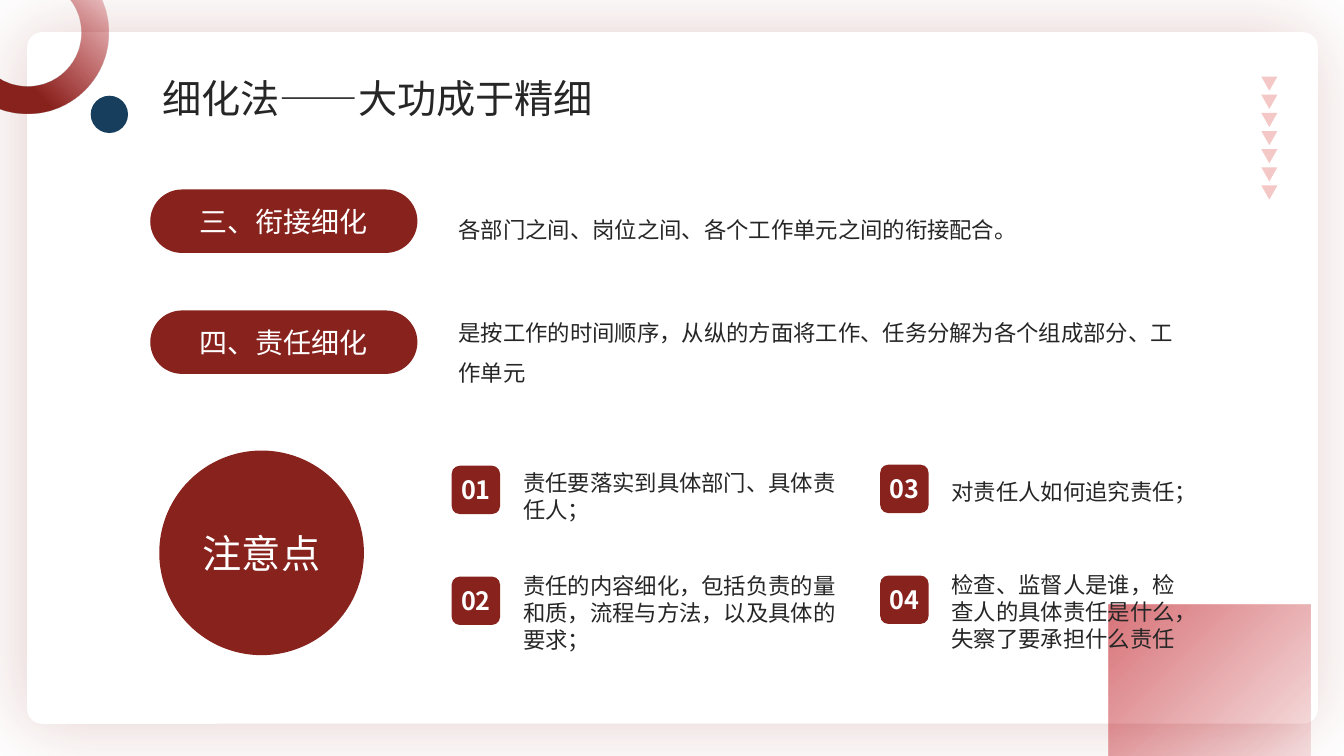
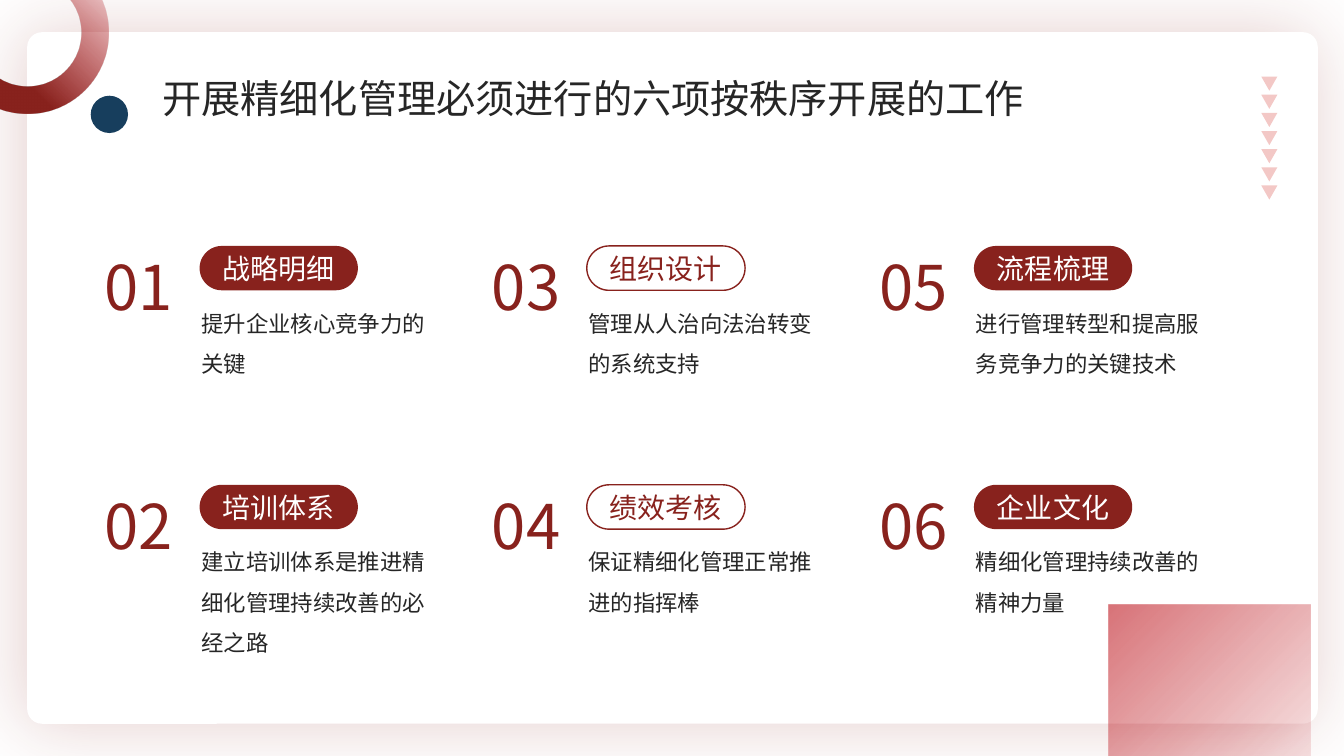
import copy
import dataclasses

import lxml.etree
import pptx
import pptx.dml.color
import pptx.enum.lang
import pptx.enum.shapes
import pptx.enum.text
import pptx.oxml.ns
import pptx.util

Inches = pptx.util.Inches
Pt = pptx.util.Pt
qn = pptx.oxml.ns.qn
PRESET = pptx.enum.shapes.MSO_SHAPE
ALIGN = pptx.enum.text.PP_ALIGN
ANCHOR = pptx.enum.text.MSO_ANCHOR
AUTO_SIZE = pptx.enum.text.MSO_AUTO_SIZE
CHINESE = pptx.enum.lang.MSO_LANGUAGE_ID.SIMPLIFIED_CHINESE


@dataclasses.dataclass(frozen=True)
class Theme:
    font: str = "Noto Sans CJK SC"
    brand: str = "88221D"
    glow: str = "B9000B"
    navy: str = "173E5D"
    blush: str = "F3C8C6"
    paper: str = "FFFFFF"
    ink: str = "262626"
    title: int = 28
    label: int = 20
    badge: int = 18
    body: int = 16
    numeral: int = 44


def rgb(code):
    return pptx.dml.color.RGBColor.from_string(code)


def bezier(start, first, second, end, steps=24):
    points = []
    for step in range(1, steps + 1):
        t = step / steps
        weights = ((1 - t) ** 3, 3 * t * (1 - t) ** 2, 3 * t * t * (1 - t), t ** 3)
        controls = (start, first, second, end)
        points.append(tuple(sum(w * c[axis] for w, c in zip(weights, controls))
                            for axis in (0, 1)))
    return points


class Deck:
    """Build the red-framed slides from one theme."""

    def __init__(self, theme):
        self.theme = theme
        self.show = pptx.Presentation()
        self.show.slide_width = Inches(13.33)
        self.show.slide_height = Inches(7.5)
        self.layout = self.show.slide_layouts[5]
        self.slide = None

    def start_slide(self, heading, width):
        self.slide = self.show.slides.add_slide(self.layout)
        if len(self.show.slides) == 1:
            self.build_frame()
        title = self.slide.shapes.title
        title.left, title.top = Inches(1.51), Inches(0.69)
        title.width, title.height = Inches(width), Inches(0.57)
        self.set_words(title, heading, self.theme.title, self.theme.ink)

    def build_frame(self):
        theme = self.theme
        card = self.block(PRESET.ROUNDED_RECTANGLE, 0.28, 0.33, 12.78, 6.84,
                          theme.paper, theme.paper, 1.5)
        card.adjustments[0] = 0.02
        self.cast_glow(card)
        ring = self.block(PRESET.DONUT, -0.53, -0.48, 1.61, 1.61, theme.brand)
        ring.adjustments[0] = 0.17
        self.fade(ring, 45, ((0.34, theme.brand, 100), (1, theme.glow, 0)))
        dot = self.block(PRESET.OVAL, 0.9, 0.95, 0.37, 0.37, theme.navy)
        dome = self.dome()
        self.fade(dome, 315, ((0.02, theme.glow, 54), (1, theme.glow, 5)))
        arrows = [self.block(PRESET.FLOWCHART_MERGE, 12.51, 0.76 + 0.18 * row,
                             0.16, 0.14, theme.blush) for row in range(7)]
        for order, part in enumerate([card, ring, dot, dome, *arrows]):
            part.element.nvSpPr.cNvPr.set("id", str(20 + order))
            self.layout.shapes.element.insert(2 + order, part.element)

    def dome(self):
        left, crown, right = (10.84, 7.5), (12.09, 6.29), (13.33, 7.5)
        outline = (bezier(left, (10.84, 6.83), (11.47, 6.27), crown)
                   + bezier(crown, (12.78, 6.27), (13.33, 6.9), right))
        builder = self.slide.shapes.build_freeform(*left, scale=Inches(1))
        builder.add_line_segments(outline, close=True)
        return self.finish(builder.convert_to_shape(), self.theme.glow)

    def cast_glow(self, shape):
        effects = shape.element.spPr.find(qn("a:effectLst"))
        shadow = lxml.etree.SubElement(
            effects, qn("a:outerShdw"), blurRad=str(Pt(54)), dist=str(Pt(3)),
            dir="10800000", algn="ctr", rotWithShape="0")
        tint = lxml.etree.SubElement(shadow, qn("a:srgbClr"), val=self.theme.brand)
        lxml.etree.SubElement(tint, qn("a:alpha"), val="22000")

    def fade(self, shape, angle, stops):
        shape.fill.gradient()
        shape.fill.gradient_angle = angle
        for stop, (position, color, opacity) in zip(shape.fill.gradient_stops, stops):
            stop.position = position
            stop.color.rgb = rgb(color)
        tints = shape.element.spPr.iter(qn("a:srgbClr"))
        for tint, (position, color, opacity) in zip(list(tints), stops):
            lxml.etree.SubElement(tint, qn("a:alpha"), val=str(opacity * 1000))

    def finish(self, shape, fill, line=None, weight=1):
        shape.shadow.inherit = False
        shape.fill.solid()
        shape.fill.fore_color.rgb = rgb(fill)
        if line:
            shape.line.color.rgb = rgb(line)
            shape.line.width = Pt(weight)
        else:
            shape.line.fill.background()
        return shape

    def block(self, preset, left, top, width, height, fill, line=None, weight=1):
        shape = self.slide.shapes.add_shape(
            preset, Inches(left), Inches(top), Inches(width), Inches(height))
        return self.finish(shape, fill, line, weight)

    def set_words(self, shape, words, size, color, align=ALIGN.LEFT, anchor=ANCHOR.TOP,
                  bold=False, spacing=1.0, auto_size=AUTO_SIZE.NONE):
        frame = shape.text_frame
        frame.text = words
        frame.word_wrap = True
        frame.auto_size = auto_size
        frame.vertical_anchor = anchor
        paragraph = frame.paragraphs[0]
        paragraph.alignment = align
        paragraph.line_spacing = spacing
        font = paragraph.runs[0].font
        font.name, font.size, font.bold = self.theme.font, Pt(size), bold
        font.color.rgb = rgb(color)
        font.language_id = CHINESE
        for latin in list(shape.element.iter(qn("a:latin"))):
            asian = copy.deepcopy(latin)
            asian.tag = qn("a:ea")
            latin.addnext(asian)

    def text(self, words, left, top, width, height, size=None, color=None, spacing=1.0):
        box = self.slide.shapes.add_textbox(
            Inches(left), Inches(top), Inches(width), Inches(height))
        self.set_words(box, words, size or self.theme.body, color or self.theme.ink,
                       spacing=spacing, auto_size=AUTO_SIZE.SHAPE_TO_FIT_TEXT)

    def pill(self, words, left, top, width, height, size=None, hollow=False):
        theme = self.theme
        fill, ink = (theme.paper, theme.brand) if hollow else (theme.brand, theme.paper)
        shape = self.block(PRESET.ROUNDED_RECTANGLE, left, top, width, height, fill,
                           theme.brand if hollow else None)
        shape.adjustments[0] = 0.5
        self.set_words(shape, words, size or theme.label, ink, ALIGN.CENTER, ANCHOR.MIDDLE)

    def badge(self, number, left, top):
        shape = self.block(PRESET.ROUNDED_RECTANGLE, left, top, 0.48, 0.48,
                           self.theme.brand)
        frame = shape.text_frame
        frame.margin_left = frame.margin_right = 0
        frame.margin_top = frame.margin_bottom = 0
        self.set_words(shape, number, self.theme.badge, self.theme.paper,
                       ALIGN.CENTER, ANCHOR.MIDDLE, bold=True)


def refinement_slide(deck):
    deck.start_slide("细化法——大功成于精细", 6.23)
    refinements = (
        ("三、衔接细化", 1.88, "各部门之间、岗位之间、各个工作单元之间的衔接配合。", 1.96, 0.46),
        ("四、责任细化", 3.08,
         "是按工作的时间顺序，从纵的方面将工作、任务分解为各个组成部分、工作单元", 2.98, 0.87),
    )
    for label, label_top, detail, detail_top, height in refinements:
        deck.pill(label, 1.49, label_top, 2.65, 0.63)
        deck.text(detail, 4.45, detail_top, 7.42, height, spacing=1.5)
    deck.pill("注意点", 1.58, 4.47, 2.03, 2.03, deck.theme.title)
    cautions = (
        ("责任要落实到具体部门、具体责任人；", 4.61, 3.3, 0.64),
        ("责任的内容细化，包括负责的量和质，流程与方法，以及具体的要求；", 5.63, 3.3, 0.91),
        ("对责任人如何追究责任；", 4.69, 3.02, 0.37),
        ("检查、监督人是谁，检查人的具体责任是什么，失察了要承担什么责任", 5.62, 2.6, 0.91),
    )
    for index, (caution, top, width, height) in enumerate(cautions):
        column, row = divmod(index, 2)
        left = 4.48 + 4.25 * column
        deck.badge(f"{index + 1:02}", left, 4.62 - 0.01 * column + 1.1 * row)
        deck.text(caution, left + 0.61, top, width, height)


def six_tasks_slide(deck):
    deck.start_slide("开展精细化管理必须进行的六项按秩序开展的工作", 8.95)
    tasks = (
        ("战略明细", "提升企业核心竞争力的关键", 0.87),
        ("培训体系", "建立培训体系是推进精细化管理持续改善的必经之路", 1.27),
        ("组织设计", "管理从人治向法治转变的系统支持", 0.87),
        ("绩效考核", "保证精细化管理正常推进的指挥棒", 0.87),
        ("流程梳理", "进行管理转型和提高服务竞争力的关键技术", 0.87),
        ("企业文化", "精细化管理持续改善的精神力量", 0.87),
    )
    for index, (task, purpose, height) in enumerate(tasks):
        column, row = divmod(index, 2)
        left, top = 0.94 + 3.84 * column, 2.42 + 2.37 * row
        deck.text(purpose, left + 0.96, top + 0.47, 2.5, height, spacing=1.5)
        deck.text(f"{index + 1:02}", left, top, 0.98, 0.84,
                  deck.theme.numeral, deck.theme.brand)
        deck.pill(task, left + 1.04, top + 0.02, 1.57, 0.44, hollow=column == 1)


def main():
    deck = Deck(Theme())
    refinement_slide(deck)
    six_tasks_slide(deck)
    deck.show.save("out.pptx")


if __name__ == "__main__":
    main()
